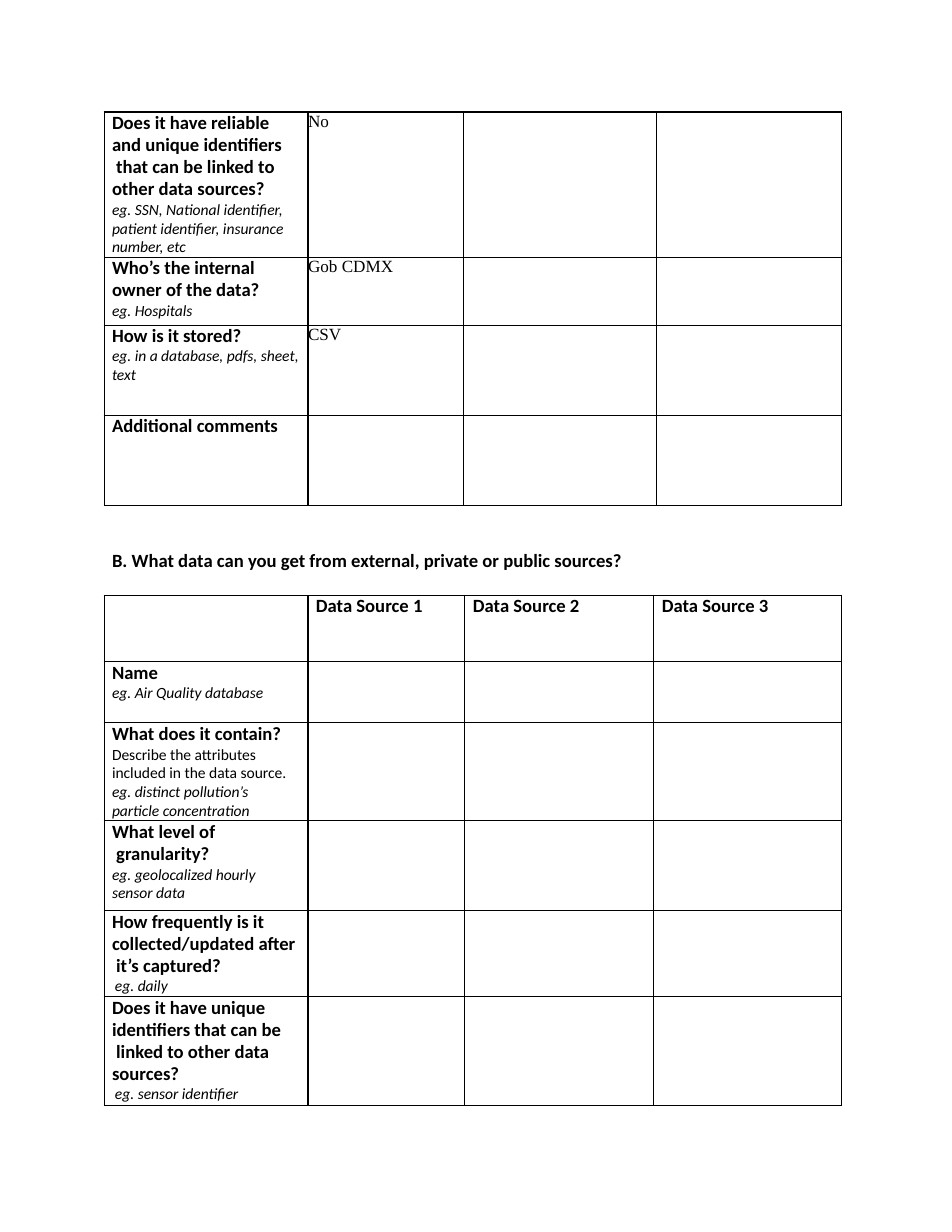
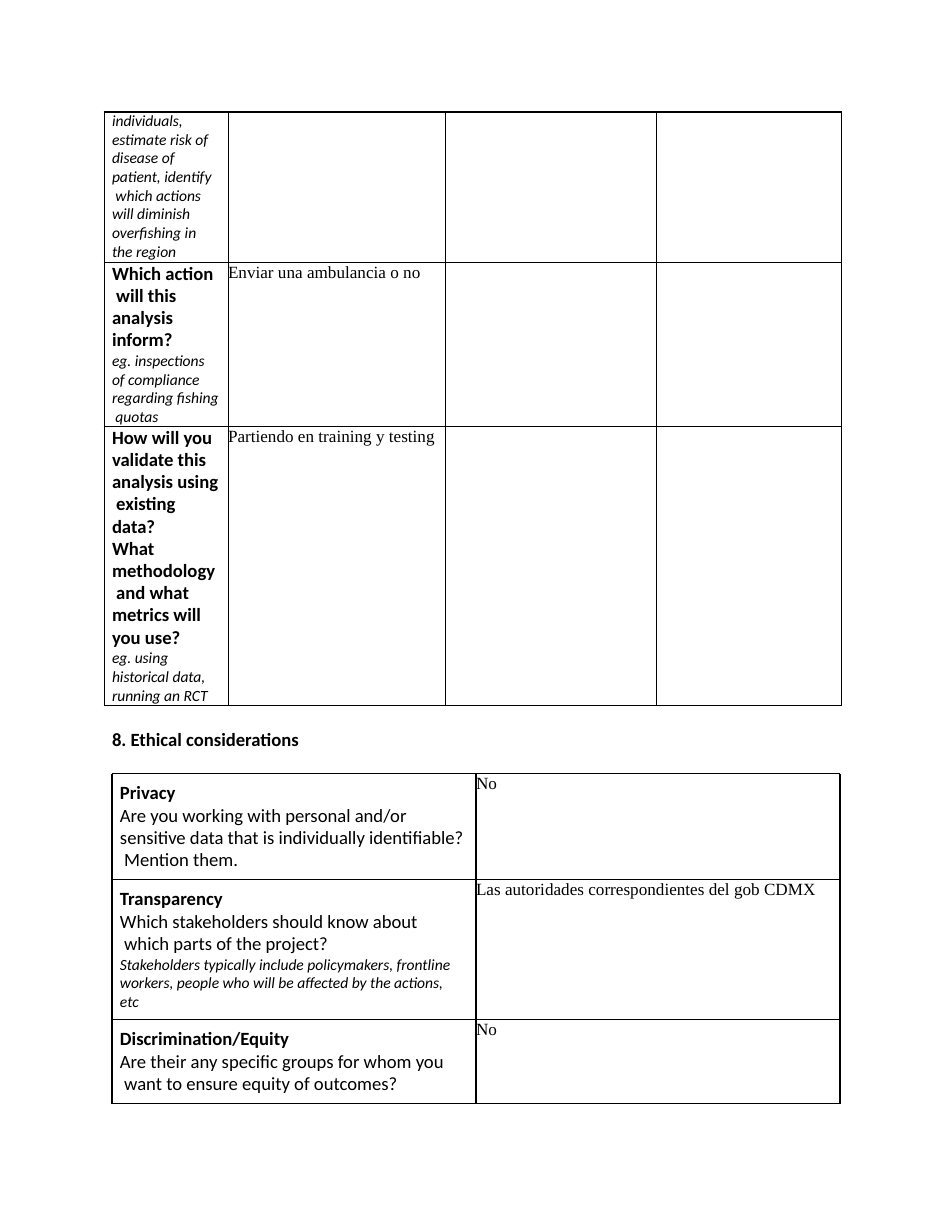
import pptx
import pptx.util
import pptx.dml.color
import pptx.enum.text
import pptx.oxml
import pptx.oxml.ns

BLACK = pptx.dml.color.RGBColor(0, 0, 0)
SCALE = 914400 / 112
SANS, SERIF = "Calibri", "Times New Roman"

STYLES = {
    "ask": (SANS, 12, True, False, 8, 14.3, 0),
    "lead": (SANS, 12, True, False, 8, 14.3, 4.8),
    "body": (SANS, 12, False, False, 8, 14.3, 0.5),
    "hint": (SANS, 10, False, True, 8, 12, 0.1),
    "deep": (SANS, 10, False, True, 11, 11.4, 0),
    "note": (SANS, 10, False, False, 8, 12, 0.3),
    "reply": (SERIF, 11, False, False, 0, None, 0),
    "title": (SANS, 12, True, False, 1, None, 1),
}

OWNED = [
    (145, [[("ask", "Does it have reliable \vand unique identifiers\v that can be linked to \vother data sources?"),
            ("hint", "eg. SSN, National identifier, \vpatient identifier, insurance \vnumber, etc")],
           [("reply", "No")]]),
    (68, [[("ask", "Who’s the internal \vowner of the data?"), ("hint", "eg. Hospitals")],
          [("reply", "Gob CDMX")]]),
    (90, [[("ask", "How is it stored?"), ("hint", "eg. in a database, pdfs, sheet, \vtext")],
          [("reply", "CSV")]]),
    (90, [[("ask", "Additional comments")]]),
]
OUTER = [
    (67, [[]] + [[("ask", f"Data Source {n}")] for n in (1, 2, 3)]),
    (61, [[("ask", "Name"), ("hint", "eg. Air Quality database")]]),
    (98, [[("ask", "What does it contain?"),
           ("note", "Describe the attributes \vincluded in the data source. "
                    "|eg. distinct pollution’s \vparticle concentration")]]),
    (90, [[("ask", "What level of\v granularity?"), ("hint", "eg. geolocalized hourly \vsensor data")]]),
    (86, [[("ask", "How frequently is it \vcollected/updated after\v it’s captured?"),
           ("deep", "eg. daily")]]),
    (109, [[("ask", "Does it have unique \videntifiers that can be\v linked to other data \vsources?"),
            ("deep", "eg. sensor identifier")]]),
]
STUDY = [
    (151, [[("hint", "individuals, \vestimate risk of \vdisease of \vpatient, identify\v which actions \v"
                     "will diminish \voverfishing in \vthe region")]]),
    (164, [[("ask", "Which action\v will this \vanalysis \vinform?"),
            ("hint", "eg. inspections \vof compliance \vregarding fishing\v quotas")],
           [("reply", "Enviar una ambulancia o no")]]),
    (279, [[("ask", "How will you \vvalidate this \vanalysis using\v existing \vdata?"), ("ask", "What"),
            ("ask", "methodology\v and what \vmetrics will \vyou use?"),
            ("hint", "eg. using \vhistorical data, \vrunning an RCT")],
           [("reply", "Partiendo en training y testing")]]),
]
ETHICS = [
    (106, [[("lead", "Privacy"),
            ("body", "Are you working with personal and/or \vsensitive data that is individually "
                     "identifiable?\v Mention them.")],
           [("reply", "No")]]),
    (140, [[("lead", "Transparency"),
            ("body", "Which stakeholders should know about\v which parts of the project?"),
            ("hint", "Stakeholders typically include policymakers, frontline \vworkers, people who will be "
                     "affected by the actions, \vetc")],
           [("reply", "Las autoridades correspondientes del gob CDMX")]]),
    (84, [[("lead", "Discrimination/Equity"),
           ("body", "Are their any specific groups for whom you\v want to ensure equity of outcomes?")],
          [("reply", "No")]]),
]
PAGES = [
    (("B. What data can you get from external, private or public sources?", 111, 548, 516),
     [(104, 112, (204, 156, 193, 185), OWNED, 0), (104, 595, (204, 157, 189, 188), OUTER, 0)]),
    (("8. Ethical considerations", 111, 727, 192),
     [(104, 112, (124, 218, 211, 185), STUDY, 0), (112, 774, (364, 364), ETHICS, 8)]),
]


def px(n):
    return pptx.util.Emu(round(n * SCALE))


def write(para, kind, text):
    face, size, bold, slant, dent, line, gap = STYLES[kind]
    head, _, tail = text.partition("|")
    para.text = head
    font = para.font
    font.name, font.size, font.bold, font.italic = face, pptx.util.Pt(size), bold, slant
    font.color.rgb = BLACK
    para.alignment = pptx.enum.text.PP_ALIGN.LEFT
    para.space_before = pptx.util.Pt(gap)
    if line:
        para.line_spacing = pptx.util.Pt(line)
    props = para._p.get_or_add_pPr()
    props.set("marL", str(px(dent)))
    props.set("indent", "0")
    if tail:
        for part in tail.split("\v"):
            para.add_line_break()
            run = para.add_run()
            run.text, run.font.italic = part, True


def frame(cell):
    props = cell._tc.get_or_add_tcPr()
    for spot, side in enumerate(("lnL", "lnR", "lnT", "lnB")):
        props.insert(spot, pptx.oxml.parse_xml(
            f'<a:{side} {pptx.oxml.ns.nsdecls("a")} w="9525"><a:solidFill>'
            f'<a:srgbClr val="{BLACK}"/></a:solidFill></a:{side}>'))


def grid(slide, left, top, cols, rows, pad):
    table = slide.shapes.add_table(len(rows), len(cols), px(left), px(top),
                                   px(sum(cols)), px(sum(r[0] for r in rows))).table
    table.first_row = table.horz_banding = False
    for col, wide in zip(table.columns, cols):
        col.width = px(wide)
    for row, (tall, cells) in zip(table.rows, rows):
        row.height = px(tall)
        for spot, cell in enumerate(row.cells):
            cell.margin_left = cell.margin_right = cell.margin_top = cell.margin_bottom = 0
            if spot == 0:
                cell.margin_top = px(pad)
            cell.fill.background()
            frame(cell)
            items = cells[spot] if spot < len(cells) else []
            for n, (kind, text) in enumerate(items):
                body = cell.text_frame
                write(body.add_paragraph() if n else body.paragraphs[0], kind, text)


def label(slide, text, left, top, wide):
    title = slide.shapes.title
    title.left, title.top, title.width, title.height = px(left), px(top), px(wide), px(26)
    body = title.text_frame
    body.margin_left = body.margin_right = body.margin_bottom = 0
    body.margin_top = px(1)
    body.auto_size = pptx.enum.text.MSO_AUTO_SIZE.NONE
    body.vertical_anchor = pptx.enum.text.MSO_ANCHOR.TOP
    body.word_wrap = False
    write(body.paragraphs[0], "title", text)


deck = pptx.Presentation()
deck.slide_width, deck.slide_height = px(952), px(1232)
for head, tables in PAGES:
    slide = deck.slides.add_slide(deck.slide_layouts[5])
    label(slide, *head)
    for item in tables:
        grid(slide, *item)
deck.save("out.pptx")
